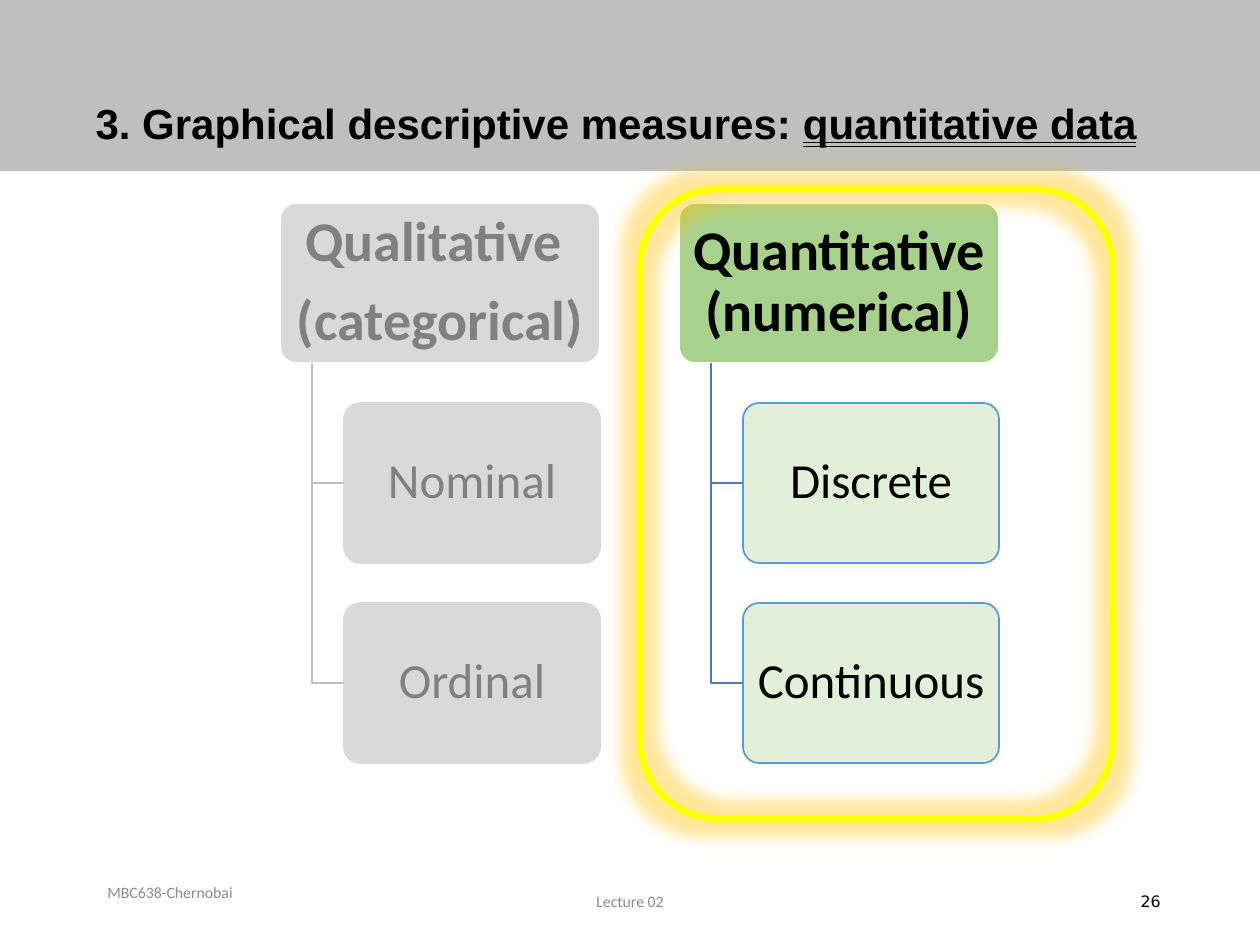
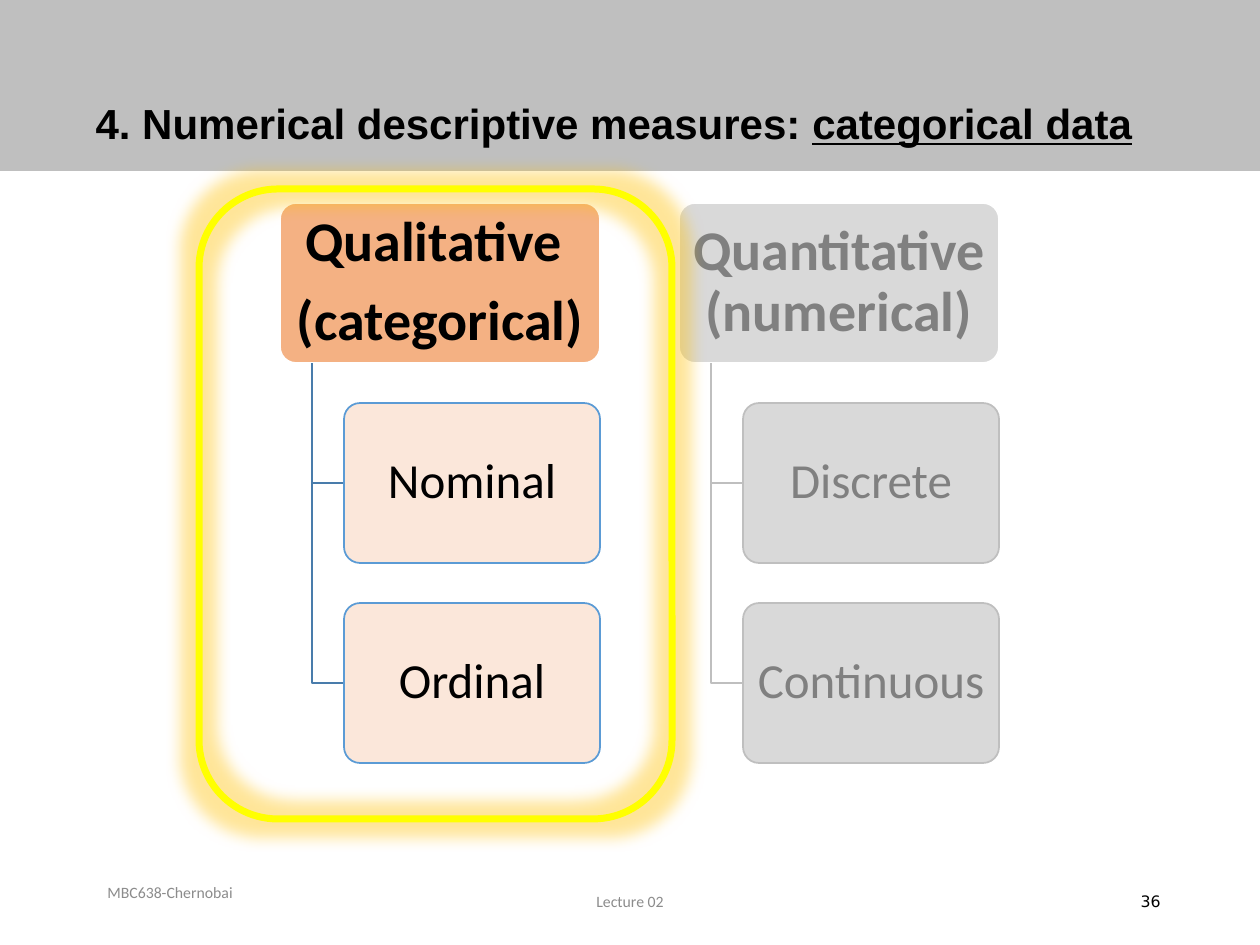
from lxml import etree
from pptx import Presentation, util as u
from pptx.dml.color import RGBColor
from pptx.enum import shapes, text
from pptx.oxml.ns import qn

PX = 914400 / 126
C = {"band": "BFBFBF", "black": "000000", "white": "FFFFFF", "footer": "8C8C8C",
     "muted": "D9D9D9", "muted_text": "808080", "muted_line": "BFBFBF",
     "blue": "5B9BD5", "elbow": "497CAB", "green": "A9D18E", "pale_green": "E2F0D9",
     "orange": "F4B183", "pale_orange": "FBE5D6", "yellow": "FFFF00", "glow": "FFC000"}
BRANCHES = [(["Qualitative ", "(categorical)"], ["Nominal", "Ordinal"]),
            (["Quantitative (numerical)"], ["Discrete", "Continuous"])]
COLUMN_X = [280, 679]
COLUMN_Y = 203
HEADER_W, BOX_H, PITCH = 320, 160, 200
NODE_INDENT, ELBOW_INDENT = 64, 32

MUTED = dict(header="muted", node="muted", edge="muted", elbow="muted_line", ink="muted_text")
MUTED_EDGED = {**MUTED, "edge": "muted_line"}
GREEN = dict(header="green", node="pale_green", edge="blue", elbow="elbow", ink="black")
ORANGE = {**GREEN, "header": "orange", "node": "pale_orange", "alpha": 90}


def emu(*px):
    """Turn pixel lengths into whole EMU."""
    return [round(v * PX) for v in px]


def rgb(name):
    """Look up a palette colour."""
    return RGBColor.from_string(C[name])


def write(sp, paras, size, color, font="Calibri", bold=False, align="LEFT",
          spacing=None, after=None, inset=None):
    """Fill a shape with paragraphs, each a string or a list of (text, underline) runs."""
    tf = sp.text_frame
    tf.word_wrap = True
    tf.auto_size = text.MSO_AUTO_SIZE.NONE
    tf.vertical_anchor = text.MSO_ANCHOR.MIDDLE
    if inset:
        tf.margin_left, tf.margin_top, tf.margin_right, tf.margin_bottom = emu(*inset * 2)
    for i, para in enumerate(paras):
        p = tf.add_paragraph() if i else tf.paragraphs[0]
        p.alignment = getattr(text.PP_ALIGN, align)
        p.line_spacing = spacing
        if after:
            p.space_after = u.Pt(after)
        for words, underline in [(para, None)] if isinstance(para, str) else para:
            r = p.add_run()
            r.text = words
            r.font.name, r.font.size, r.font.bold = font, u.Pt(size), bold
            r.font.color.rgb = rgb(color)
            r.font.underline = underline


def paint(sp, fill=None, line=None, width=1, alpha=None):
    """Set fill and line and drop the shadow."""
    sp.shadow.inherit = False
    if fill:
        sp.fill.solid()
        sp.fill.fore_color.rgb = rgb(fill)
        if alpha:
            color = sp.fill._xPr.find(qn("a:solidFill"))[0]
            etree.SubElement(color, qn("a:alpha"), val=str(alpha * 1000))
    else:
        sp.fill.background()
    if line:
        sp.line.color.rgb = rgb(line)
        sp.line.width = u.Pt(width)
    else:
        sp.line.fill.background()


def add_box(s, box, kind="ROUNDED_RECTANGLE", radius=None, **look):
    """Add a painted preset shape."""
    sp = s.shapes.add_shape(getattr(shapes.MSO_SHAPE, kind), *emu(*box))
    if radius:
        sp.adjustments[0] = radius
    paint(sp, **look)
    return sp


def add_elbow(s, x, top, bottom, right, color):
    """Draw a line down and then right to a node."""
    (x0, y0), *corners = [emu(*pt) for pt in [(x, top), (x, bottom), (right, bottom)]]
    path = s.shapes.build_freeform(x0, y0)
    path.add_line_segments(corners, close=False)
    paint(path.convert_to_shape(), line=color)


def add_branch(s, x, y, heading, nodes, look):
    """Place a heading with its nodes hanging below it."""
    sp = add_box(s, (x, y, HEADER_W, BOX_H), radius=0.1, fill=look["header"], line="white")
    write(sp, heading, 32, look["ink"], bold=True, align="CENTER", spacing=0.9,
          after=11, inset=(8, 5))
    node_x = x + NODE_INDENT
    for i, name in enumerate(nodes, 1):
        node_y = y + i * PITCH
        add_elbow(s, x + ELBOW_INDENT, y + BOX_H, node_y + BOX_H // 2, node_x, look["elbow"])
        sp = add_box(s, (node_x, node_y, HEADER_W - NODE_INDENT, BOX_H), radius=0.1,
                     fill=look["node"], line=look["edge"], alpha=look.get("alpha"))
        write(sp, [name], 28, look["ink"], align="CENTER", spacing=0.9, after=10, inset=(7, 5))


def add_highlight(s, x):
    """Ring one branch with a glowing yellow outline."""
    sp = add_box(s, (x, 189, 473, 630), line="yellow", width=4)
    effects = sp._element.spPr.find(qn("a:effectLst"))
    glow = etree.SubElement(effects, qn("a:glow"), rad="228600")
    color = etree.SubElement(glow, qn("a:srgbClr"), val=C["glow"])
    etree.SubElement(color, qn("a:alpha"), val="40000")


def add_frame(s, title, number):
    """Place the band, title and footers."""
    band = add_box(s, (0, 0, 1260, 171), kind="RECTANGLE", fill="band")
    s.shapes._spTree.insert(2, band._element)
    sp = s.shapes.title
    sp.left, sp.top, sp.width, sp.height = emu(83, 34, 1086, 183)
    write(sp, [title], 24, "black", font="Arial", bold=True, spacing=0.9)
    footers = [((95, 861, 262, 63), "MBC638-Chernobai", "LEFT", "footer", "Calibri"),
               ((417, 876, 426, 50), "Lecture 02", "CENTER", "footer", "Calibri"),
               ((890, 876, 283, 50), str(number), "RIGHT", "black", "DejaVu Sans")]
    for box, words, align, color, font in footers:
        write(s.shapes.add_textbox(*emu(*box)), [words], 9, color, font=font, align=align)


def add_data_types_slide(prs, title, number, looks, highlight_x):
    """Build a slide with both branches, one of them highlighted."""
    s = prs.slides.add_slide(prs.slide_layouts[5])
    add_frame(s, title, number)
    for x, (heading, nodes), look in zip(COLUMN_X, BRANCHES, looks):
        add_branch(s, x, COLUMN_Y, heading, nodes, look)
    add_highlight(s, highlight_x)


def main():
    """Build and save the presentation."""
    prs = Presentation()
    prs.slide_width, prs.slide_height = u.Inches(10), u.Inches(7.5)
    add_data_types_slide(
        prs, [("3. Graphical descriptive measures: ", None),
              ("quantitative data", text.MSO_UNDERLINE.DOUBLE_LINE)],
        26, (MUTED, GREEN), 640)
    add_data_types_slide(
        prs, [("4. Numerical descriptive measures: ", None), ("categorical data", True)],
        36, (ORANGE, MUTED_EDGED), 199)
    prs.save("out.pptx")


if __name__ == "__main__":
    main()
